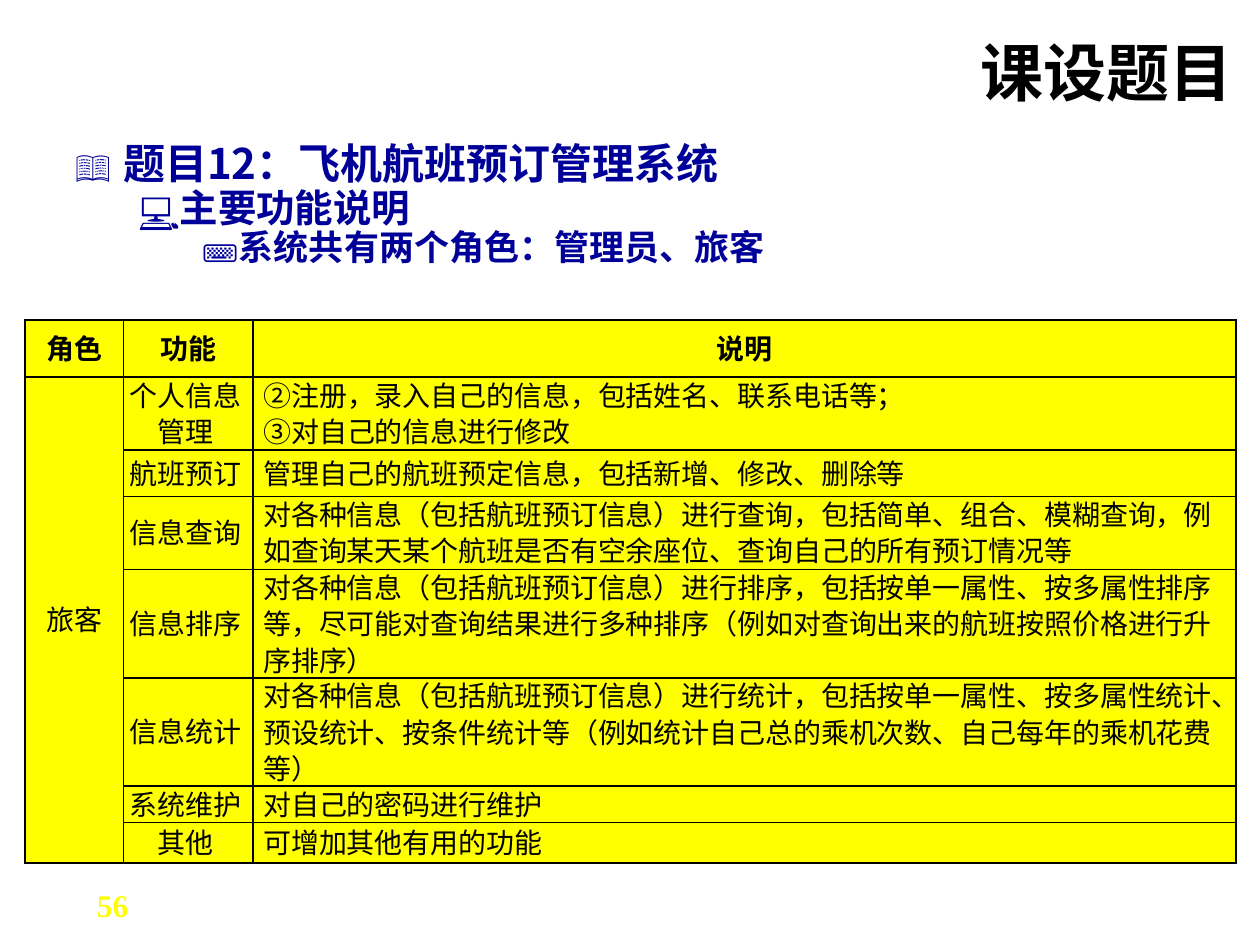
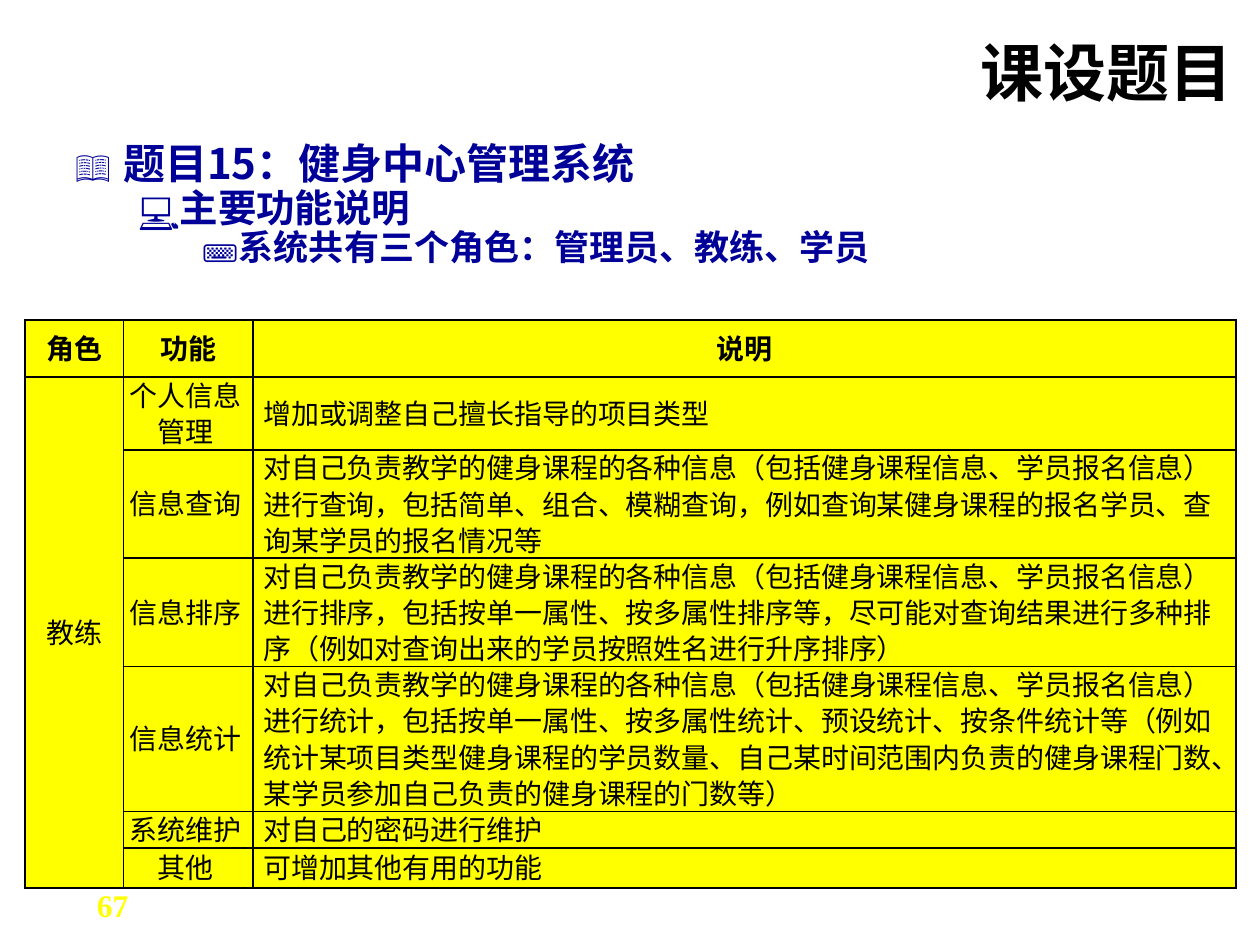
from lxml.etree import SubElement
from pptx import Presentation
from pptx.dml.color import RGBColor
from pptx.enum.text import MSO_ANCHOR, PP_ALIGN
from pptx.oxml.ns import qn
from pptx.util import Inches, Pt

BLACK = RGBColor(0x00, 0x00, 0x00)
NAVY = RGBColor(0x00, 0x00, 0x99)
YELLOW = RGBColor(0xFF, 0xFF, 0x00)

CHINESE_FONT = "Noto Sans CJK SC"
MARKER_FONT = "Calibri"
NUMBER_FONT = "Times New Roman"

PAGE_TITLE = "课设题目"
HEADERS = ["角色", "功能", "说明"]
COLUMN_WIDTHS = [0.78, 1.03, 7.8]
HEADER_HEIGHT = 0.45
LINE_SPACING = 0.9

# Bullet character, bullet size in percent, left margin, hanging indent, text size
OUTLINE_LEVELS = [
    ("📖", 80, 0.38, 0.38, 24),
    ("💻", 100, 0.81, 0.31, 22),
    ("⌨", 100, 1.25, 0.25, 20),
]

# Function, description, row height
CLOSING_ROWS = [
    ("系统维护", "对自己的密码进行维护", 0.29),
    ("其他", "可增加其他有用的功能", 0.32),
]

FLIGHT_ROWS = [
    ("个人信息管理", "②注册，录入自己的信息，包括姓名、联系电话等；\n③对自己的信息进行修改", 0.58),
    ("航班预订", "管理自己的航班预定信息，包括新增、修改、删除等", 0.37),
    ("信息查询", "对各种信息（包括航班预订信息）进行查询，包括简单、组合、模糊查询，"
     "例如查询某天某个航班是否有空余座位、查询自己的所有预订情况等", 0.58),
    ("信息排序", "对各种信息（包括航班预订信息）进行排序，包括按单一属性、按多属性排序等，"
     "尽可能对查询结果进行多种排序（例如对查询出来的航班按照价格进行升序排序）", 0.86),
    ("信息统计", "对各种信息（包括航班预订信息）进行统计，包括按单一属性、按多属性统计、"
     "预设统计、按条件统计等（例如统计自己总的乘机次数、自己每年的乘机花费等）", 0.86),
]

COURSE_SCOPE = "对自己负责教学的健身课程的各种信息（包括健身课程信息、学员报名信息）"
FITNESS_ROWS = [
    ("个人信息管理", "增加或调整自己擅长指导的项目类型", 0.58),
    ("信息查询", COURSE_SCOPE + "进行查询，包括简单、组合、模糊查询，"
     "例如查询某健身课程的报名学员、查询某学员的报名情况等", 0.86),
    ("信息排序", COURSE_SCOPE + "进行排序，包括按单一属性、按多属性排序等，"
     "尽可能对查询结果进行多种排序（例如对查询出来的学员按照姓名进行升序排序）", 0.86),
    ("信息统计", COURSE_SCOPE + "进行统计，包括按单一属性、按多属性统计、预设统计、"
     "按条件统计等（例如统计某项目类型健身课程的学员数量、自己某时间范围内负责的"
     "健身课程门数、某学员参加自己负责的健身课程的门数等）", 1.15),
]


def add_run(paragraph, text, *, size, color=BLACK, bold=False, font=CHINESE_FONT):
    run = paragraph.add_run()
    run.text = text
    run.font.size = Pt(size)
    run.font.bold = bold
    run.font.color.rgb = color
    run.font.name = font
    SubElement(run.font._element, qn("a:ea"), typeface=CHINESE_FONT)


def add_text_box(slide, left, top, width, height, *, wrap=True, anchor=MSO_ANCHOR.TOP):
    shape = slide.shapes.add_textbox(Inches(left), Inches(top), Inches(width), Inches(height))
    frame = shape.text_frame
    frame.word_wrap = wrap
    frame.vertical_anchor = anchor
    return frame


def add_title(slide):
    frame = add_text_box(slide, 2.48, 0.13, 7.4, 0.87, anchor=MSO_ANCHOR.MIDDLE)
    paragraph = frame.paragraphs[0]
    paragraph.alignment = PP_ALIGN.RIGHT
    add_run(paragraph, PAGE_TITLE, size=36, bold=True)


def add_page_number(slide, number):
    frame = add_text_box(slide, 0.67, 6.98, 0.5, 0.4, wrap=False)
    add_run(frame.paragraphs[0], str(number), size=18, color=YELLOW, bold=True, font=NUMBER_FONT)


def set_bullet(paragraph, character, percent, margin, hanging):
    properties = paragraph._p.get_or_add_pPr()
    properties.set("marL", str(Inches(margin)))
    properties.set("indent", str(-Inches(hanging)))
    SubElement(properties, qn("a:buSzPct"), val=str(percent * 1000))
    SubElement(properties, qn("a:buFont"), typeface=CHINESE_FONT)
    SubElement(properties, qn("a:buChar"), char=character)


def add_outline(slide, lines):
    """Write one line at each outline level, from the topic down."""
    frame = add_text_box(slide, 0.5, 1.09, 9.3, 5.59)
    for level, (line, style) in enumerate(zip(lines, OUTLINE_LEVELS)):
        *bullet, size = style
        paragraph = frame.add_paragraph() if level else frame.paragraphs[0]
        paragraph.level = level
        paragraph.line_spacing = LINE_SPACING
        set_bullet(paragraph, *bullet)
        add_run(paragraph, line, size=size, color=NAVY, bold=True)


def set_borders(cell):
    properties = cell._tc.get_or_add_tcPr()
    for position, side in enumerate(("a:lnL", "a:lnR", "a:lnT", "a:lnB")):
        line = SubElement(properties, qn(side), w=str(Pt(1)))
        fill = SubElement(line, qn("a:solidFill"))
        SubElement(fill, qn("a:srgbClr"), val=str(BLACK))
        properties.insert(position, line)


def format_cell(cell, left_margin=0.08):
    cell.fill.solid()
    cell.fill.fore_color.rgb = YELLOW
    set_borders(cell)
    cell.vertical_anchor = MSO_ANCHOR.MIDDLE
    cell.margin_left = Inches(left_margin)
    cell.margin_right = Inches(0.08)
    cell.margin_top = cell.margin_bottom = 0


def write_cell(cell, text, *, bold=False, alignment=PP_ALIGN.CENTER):
    """Write one paragraph per line; a leading circled digit has its own font."""
    frame = cell.text_frame
    for index, line in enumerate(text.split("\n")):
        paragraph = frame.add_paragraph() if index else frame.paragraphs[0]
        paragraph.alignment = alignment
        paragraph.line_spacing = LINE_SPACING
        if line[0] in "②③":
            add_run(paragraph, line[0], size=16, font=MARKER_FONT)
            line = line[1:]
        add_run(paragraph, line, size=16, bold=bold)


def add_function_table(slide, role, function_rows):
    row_heights = [HEADER_HEIGHT] + [height for _, _, height in function_rows]
    table = slide.shapes.add_table(
        len(row_heights), len(HEADERS), Inches(0.2), Inches(2.54),
        Inches(sum(COLUMN_WIDTHS)), Inches(sum(row_heights))).table
    table.first_row = table.horz_banding = False
    for column, width in zip(table.columns, COLUMN_WIDTHS):
        column.width = Inches(width)
    for row_index, (row, height) in enumerate(zip(table.rows, row_heights)):
        row.height = Inches(height)
        for column_index, cell in enumerate(row.cells):
            format_cell(cell, 0.04 if row_index and column_index == 1 else 0.08)

    for column_index, header in enumerate(HEADERS):
        write_cell(table.cell(0, column_index), header, bold=True)
    table.cell(1, 0).merge(table.cell(len(function_rows), 0))
    write_cell(table.cell(1, 0), role)
    for row_index, (name, description, _) in enumerate(function_rows, start=1):
        write_cell(table.cell(row_index, 1), name)
        write_cell(table.cell(row_index, 2), description, alignment=PP_ALIGN.LEFT)


def add_topic_slide(presentation, number, topic, roles, role, function_rows):
    slide = presentation.slides.add_slide(presentation.slide_layouts[6])
    add_page_number(slide, number)
    add_title(slide)
    add_outline(slide, [topic, "主要功能说明", roles])
    add_function_table(slide, role, function_rows + CLOSING_ROWS)


def main():
    presentation = Presentation()
    presentation.slide_width = Inches(10)
    presentation.slide_height = Inches(7.5)
    add_topic_slide(presentation, 56, "题目12：飞机航班预订管理系统",
                    "系统共有两个角色：管理员、旅客", "旅客", FLIGHT_ROWS)
    add_topic_slide(presentation, 67, "题目15：健身中心管理系统",
                    "系统共有三个角色：管理员、教练、学员", "教练", FITNESS_ROWS)
    presentation.save("out.pptx")


if __name__ == "__main__":
    main()
